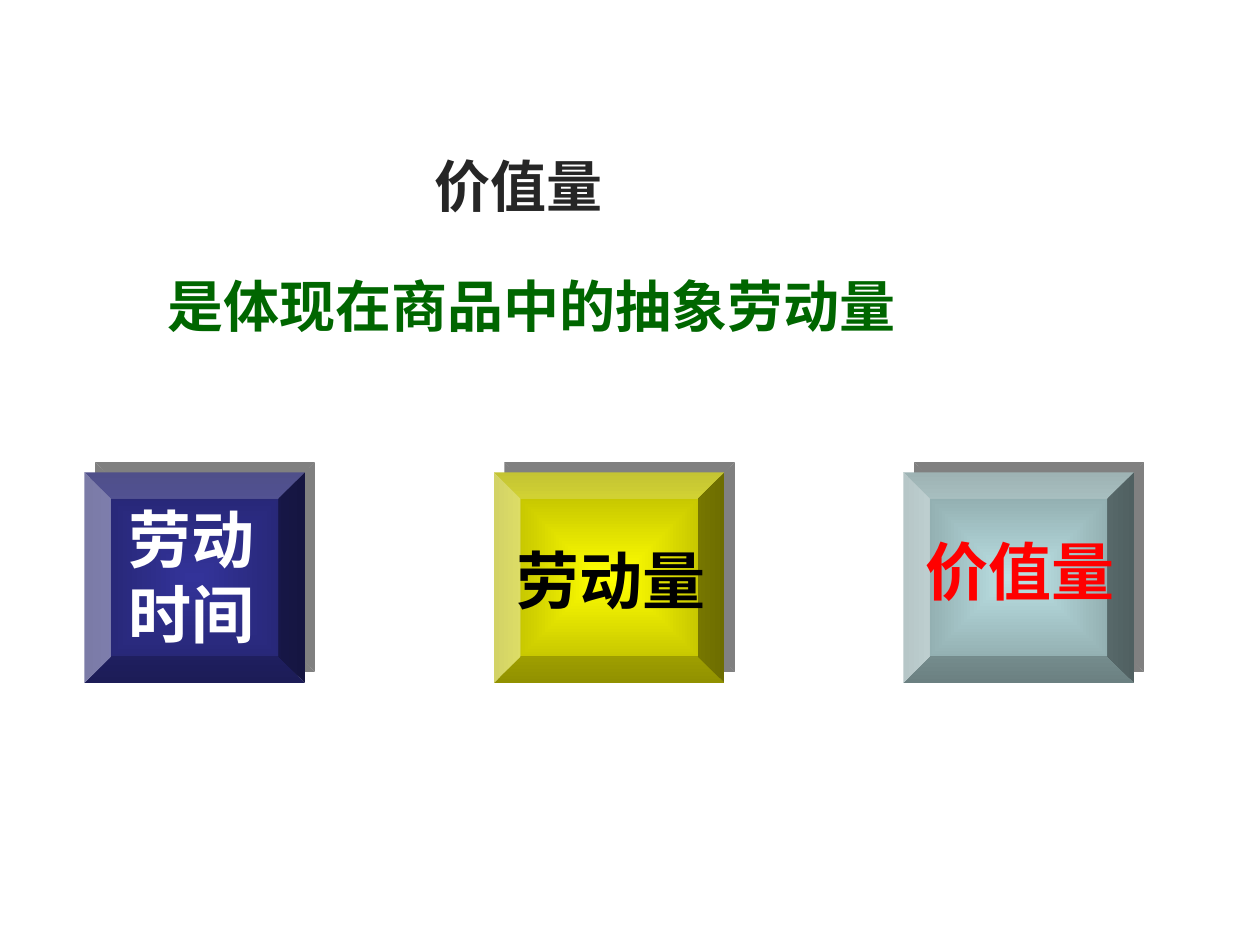
from lxml import etree
from pptx import Presentation
from pptx.dml.color import RGBColor
from pptx.enum.shapes import MSO_SHAPE as Shape
from pptx.enum.text import MSO_ANCHOR as Anchor, PP_ALIGN as Align
from pptx.oxml import parse_xml
from pptx.oxml.ns import nsdecls, qn
from pptx.util import Inches, Pt


def color(hex_code):
    return RGBColor.from_string(hex_code)


def add_label(slide, box, text, size, hex_code, wrap=True,
              align=Align.LEFT, anchor=Anchor.TOP):
    label = slide.shapes.add_textbox(*map(Inches, box))
    frame = label.text_frame
    frame.word_wrap = wrap
    frame.vertical_anchor = anchor
    frame.text = text
    paragraph = frame.paragraphs[0]
    paragraph.alignment = align
    font = paragraph.runs[0].font
    font.name, font.size, font.bold = "Arial", Pt(size), True
    font.color.rgb = color(hex_code)


def add_bevel(slide, box, center, edge):
    bevel = slide.shapes.add_shape(Shape.BEVEL, *map(Inches, box))
    bevel.line.fill.background()

    # Gradient running from the centre out to the edges
    bevel.fill.gradient()
    for stop, position, hex_code in zip(bevel.fill.gradient_stops, (0, 1), (center, edge)):
        stop.position = position
        stop.color.rgb = color(hex_code)
    linear = bevel.element.spPr.find(".//" + qn("a:lin"))
    linear.getparent().replace(linear, parse_xml(
        f'<a:path {nsdecls("a")} path="rect">'
        '<a:fillToRect l="50000" t="50000" r="50000" b="50000"/></a:path>'))

    # Hard grey shadow towards the upper right
    bevel.shadow.inherit = False
    effects = bevel.element.spPr.find(qn("a:effectLst"))
    shadow = etree.SubElement(effects, qn("a:outerShdw"), blurRad="0",
                              dist=str(Pt(8.5)), dir=str(315 * 60000),
                              algn="ctr", rotWithShape="0")
    etree.SubElement(shadow, qn("a:srgbClr"), val="808080")


def add_heading(slide, title_box, definition_box):
    add_label(slide, title_box, "价值量", 32, "262626",
              align=Align.CENTER, anchor=Anchor.MIDDLE)
    add_label(slide, definition_box, "是体现在商品中的抽象劳动量", 32, "006600", wrap=False)


def add_tiles(slide, left, top, pitch, height):
    # Bevel width, gradient, then label box, text, colour and wrapping
    tiles = [
        (1.75, "333399", "24246D", (0.92, 3.92, 1.67, 1.3), "劳动时间", "FFFFFF", True),
        (1.83, "FFFF00", "B6B600", (4, 4.25, 1.75, 0.7), "劳动量", "000000", True),
        (1.83, "BBE0E3", "86A0A2", (7.25, 4.18, 1.71, 0.7), "价值量", "FF0000", False),
    ]
    for i, (width, center, edge, label_box, text, text_color, wrap) in enumerate(tiles):
        add_bevel(slide, (left + i * pitch, top, width, height), center, edge)
        add_label(slide, label_box, text, 36, text_color, wrap)


def main():
    prs = Presentation()
    prs.slide_width, prs.slide_height = Inches(10), Inches(7.5)
    slide = prs.slides.add_slide(prs.slide_layouts[6])
    add_heading(slide, (0.28, 0.92, 7.67, 1.1), (1.23, 2.11, 6.06, 0.64))
    add_tiles(slide, left=0.67, top=3.75, pitch=3.25, height=1.67)
    prs.save("out.pptx")


if __name__ == "__main__":
    main()
